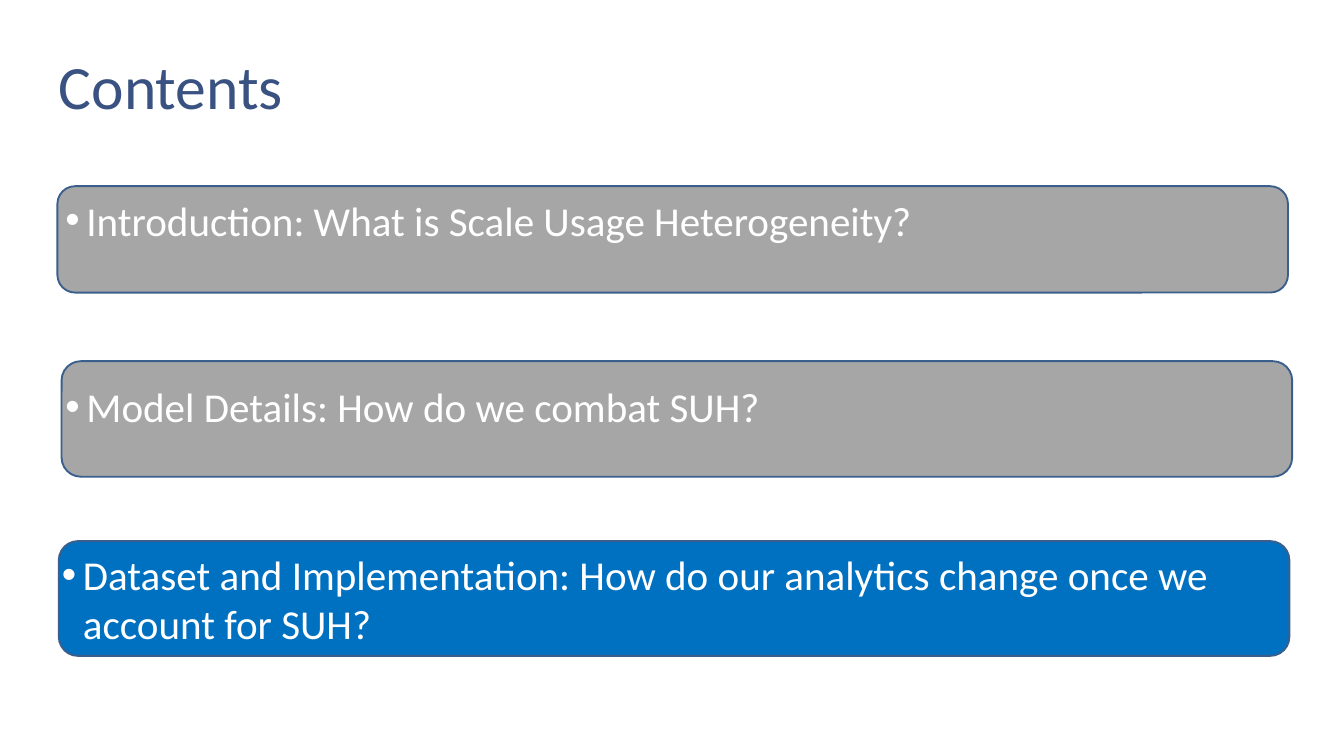
from lxml.etree import SubElement
from pptx import Presentation
from pptx.dml.color import RGBColor
from pptx.enum.shapes import MSO_SHAPE as Preset
from pptx.enum.text import MSO_AUTO_SIZE as AutoSize
from pptx.oxml.ns import qn
from pptx.util import Emu, Pt

EMU_PER_PX = 9525
FONT = "Calibri"
WHITE = "FFFFFF"
TITLE_BLUE = "395281"
OUTLINE_BLUE = "3A5F8C"
DONE_GREY = "A6A6A6"
CURRENT_BLUE = "0070C0"
BULLET_INDENT = 30

TOPICS = [
    ("Introduction: What is Scale Usage Heterogeneity?",
     DONE_GREY, (82, 266, 1758, 152), (84, 274, 1332, 81)),
    ("Model Details: How do we combat SUH?",
     DONE_GREY, (88, 516, 1758, 165), (84, 540, 1757, 81)),
    ("Dataset and Implementation: How do our analytics change once we account for SUH?",
     CURRENT_BLUE, (84, 773, 1758, 164), (79, 780, 1758, 152)),
]


def px(length):
    return Emu(length * EMU_PER_PX)


def color(value):
    return RGBColor.from_string(value)


def add_bar(slide, area, fill):
    bar = slide.shapes.add_shape(Preset.ROUNDED_RECTANGLE, *map(px, area))
    bar.shadow.inherit = False
    bar.fill.solid()
    bar.fill.fore_color.rgb = color(fill)
    bar.line.color.rgb = color(OUTLINE_BLUE)
    bar.line.width = Pt(2)


def add_text(slide, area, wording, size, ink):
    frame = slide.shapes.add_textbox(*map(px, area)).text_frame
    frame.word_wrap = True
    frame.auto_size = AutoSize.SHAPE_TO_FIT_TEXT
    run = frame.paragraphs[0].add_run()
    run.text = wording
    run.font.name = FONT
    run.font.size = Pt(size)
    run.font.color.rgb = color(ink)
    return frame


def add_title(slide, wording):
    frame = add_text(slide, (84, 50, 1920, 114), wording, 66, TITLE_BLUE)
    frame.margin_left = frame.margin_right = 0
    frame.margin_top = frame.margin_bottom = 0
    frame.paragraphs[0].line_spacing = Pt(93.1)


def add_topic(slide, area, wording):
    frame = add_text(slide, area, wording, 44, WHITE)
    properties = frame.paragraphs[0]._p.get_or_add_pPr()
    properties.set("marL", str(px(BULLET_INDENT)))
    properties.set("indent", str(px(-BULLET_INDENT)))
    SubElement(properties, qn("a:buFont"), typeface="Arial")
    SubElement(properties, qn("a:buChar"), char="•")


def main():
    deck = Presentation()
    deck.slide_width, deck.slide_height = px(1920), px(1080)
    slide = deck.slides.add_slide(deck.slide_layouts[6])
    for _, fill, bar_area, _ in reversed(TOPICS):
        add_bar(slide, bar_area, fill)
    add_title(slide, "Contents")
    for wording, _, _, text_area in TOPICS:
        add_topic(slide, text_area, wording)
    deck.save("out.pptx")


if __name__ == "__main__":
    main()
